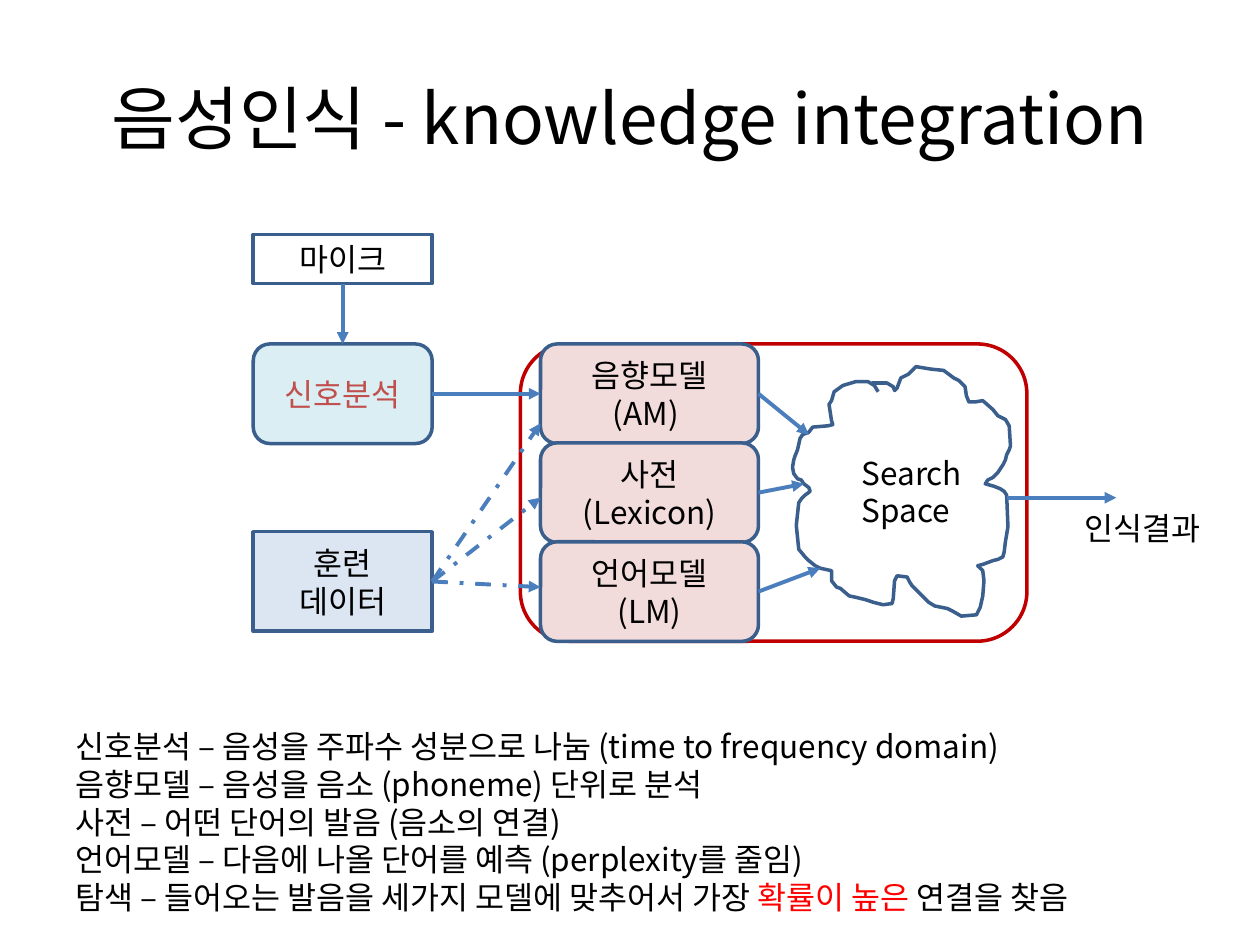
import pptx
import pptx.dml.color
import pptx.enum.dml
import pptx.enum.shapes
import pptx.enum.text
import pptx.oxml
import pptx.oxml.ns
import pptx.util
from dataclasses import dataclass

Inches = pptx.util.Inches
SHAPE = pptx.enum.shapes.MSO_SHAPE
ALIGN = pptx.enum.text.PP_ALIGN
ANCHOR = pptx.enum.text.MSO_ANCHOR
TOP, LEFT, BOTTOM, RIGHT = range(4)


@dataclass(frozen=True)
class Theme:
    font: str = "Noto Sans CJK KR"
    title_size: float = 39.6
    body_size: float = 18
    outline_width: float = 2
    arrow_width: float = 2.25
    text: str = "000000"
    emphasis: str = "FF0000"
    signal_text: str = "C0504D"
    outline: str = "3A5F8C"
    arrow: str = "4B7EBC"
    frame: str = "C00000"
    white: str = "FFFFFF"
    signal: str = "DBEEF4"
    training: str = "DCE6F2"
    model: str = "F2DCDB"


THEME = Theme()

NOTES = [
    ["신호분석 – 음성을 주파수 성분으로 나눔 (time to frequency domain)"],
    ["음향모델 – 음성을 음소 (phoneme) 단위로 분석"],
    ["사전 – 어떤 단어의 발음 (음소의 연결)"],
    ["언어모델 – 다음에 나올 단어를 예측 (perplexity를 줄임)"],
    ["탐색 – 들어오는 발음을 세가지 모델에 맞추어서 가장 ", "확률이 높은 ", "연결을 찾음"],
]

CLOUD = [
    (6.97, 3.11), (6.94, 3.06), (6.89, 3.03), (6.79, 3.03), (6.69, 3.06), (6.62, 3.11),
    (6.6, 3.18), (6.58, 3.21), (6.6, 3.34), (6.61, 3.37), (6.57, 3.38), (6.45, 3.39),
    (6.42, 3.43), (6.37, 3.45), (6.35, 3.48), (6.33, 3.57), (6.31, 3.62), (6.3, 3.65),
    (6.29, 3.71), (6.3, 3.76), (6.33, 3.8), (6.36, 3.81), (6.38, 3.84), (6.42, 3.87),
    (6.43, 3.9), (6.39, 3.93), (6.36, 3.96), (6.34, 3.99), (6.32, 4.17), (6.34, 4.36),
    (6.39, 4.42), (6.42, 4.45), (6.47, 4.49), (6.51, 4.51), (6.6, 4.53), (6.6, 4.61),
    (6.64, 4.66), (6.67, 4.67), (6.74, 4.73), (6.79, 4.74), (6.87, 4.76), (6.93, 4.78),
    (7.01, 4.8), (7.08, 4.79), (7.09, 4.75), (7.1, 4.61), (7.12, 4.57), (7.2, 4.58),
    (7.22, 4.62), (7.24, 4.65), (7.26, 4.67), (7.33, 4.74), (7.37, 4.78), (7.42, 4.81),
    (7.52, 4.83), (7.56, 4.85), (7.63, 4.89), (7.75, 4.88), (7.78, 4.82), (7.8, 4.73),
    (7.81, 4.61), (7.8, 4.53), (7.76, 4.49), (7.8, 4.48), (7.88, 4.45), (7.92, 4.44),
    (7.96, 4.42), (7.97, 4.38), (7.98, 4.3), (8, 4.18), (7.99, 3.93), (7.97, 3.9),
    (7.94, 3.88), (7.89, 3.86), (7.82, 3.84), (7.84, 3.81), (7.88, 3.79), (7.92, 3.75),
    (7.96, 3.69), (7.98, 3.65), (7.99, 3.61), (8.01, 3.57), (8.02, 3.54), (8.01, 3.38),
    (7.98, 3.33), (7.92, 3.3), (7.88, 3.25), (7.8, 3.18), (7.74, 3.19), (7.69, 3.19),
    (7.67, 3.14), (7.66, 3.07), (7.63, 3.04), (7.61, 3.02), (7.57, 3), (7.49, 2.94),
    (7.39, 2.93), (7.27, 2.91), (7.21, 2.97), (7.15, 3), (7.12, 3.08), (7.1, 3.1),
    (7.09, 3.07), (7.04, 3.04), (6.92, 3.04),
]


def rgb(value):
    return pptx.dml.color.RGBColor.from_string(value)


def format_run(r, color=THEME.text, size=THEME.body_size):
    """Set the run's font for both Latin and Korean letters."""
    r.font.size = pptx.util.Pt(size)
    r.font.name = THEME.font
    r.font.color.rgb = rgb(color)
    ea = pptx.oxml.parse_xml(f'<a:ea {pptx.oxml.ns.nsdecls("a")} typeface="{THEME.font}"/>')
    r.font._element.find(pptx.oxml.ns.qn("a:latin")).addnext(ea)


def write(tf, text, color=THEME.text, size=THEME.body_size, align=ALIGN.LEFT):
    tf.word_wrap = True
    tf.text = text
    for p in tf.paragraphs:
        p.alignment = align
        for r in p.runs:
            format_run(r, color, size)


def outline(sp, color=THEME.outline):
    sp.shadow.inherit = False
    sp.line.color.rgb = rgb(color)
    sp.line.width = pptx.util.Pt(THEME.outline_width)


def add_box(slide, kind, at, fill, text="", color=THEME.text, line=THEME.outline):
    sp = slide.shapes.add_shape(kind, *map(Inches, at))
    sp.fill.solid()
    sp.fill.fore_color.rgb = rgb(fill)
    outline(sp, line)
    if text:
        write(sp.text_frame, text, color, align=ALIGN.CENTER)
        sp.text_frame.vertical_anchor = ANCHOR.MIDDLE
    return sp


def add_text(slide, at, text, **style):
    sp = slide.shapes.add_textbox(*map(Inches, at))
    write(sp.text_frame, text, **style)
    return sp


def add_arrow(slide, start, end, dashed=False):
    """Draw an arrow; each end is a point or a (shape, side) pair."""
    joins = [isinstance(e[0], (int, float)) is False for e in (start, end)]
    points = [(0, 0) if joined else e for joined, e in zip(joins, (start, end))]
    line = slide.shapes.add_connector(
        pptx.enum.shapes.MSO_CONNECTOR.STRAIGHT,
        *(Inches(v) for point in points for v in point))
    if joins[0]:
        line.begin_connect(*start)
    if joins[1]:
        line.end_connect(*end)
    line.line.color.rgb = rgb(THEME.arrow)
    line.line.width = pptx.util.Pt(THEME.arrow_width)
    if dashed:
        line.line.dash_style = pptx.enum.dml.MSO_LINE.DASH_DOT
    ns = pptx.oxml.ns.nsdecls("a")
    line.line._get_or_add_ln().append(pptx.oxml.parse_xml(f'<a:tailEnd {ns} type="triangle"/>'))
    line._element.spPr.append(pptx.oxml.parse_xml(f"<a:effectLst {ns}/>"))


def add_cloud(slide):
    points = [(Inches(x), Inches(y)) for x, y in CLOUD]
    builder = slide.shapes.build_freeform(*points[0])
    builder.add_line_segments(points[1:], close=False)
    sp = builder.convert_to_shape()
    sp.fill.background()
    outline(sp)


def add_notes(slide):
    sp = add_text(slide, (0.5, 5.72, 9.14, 1.62), "\n".join(parts[0] for parts in NOTES))
    p = sp.text_frame.paragraphs[-1]
    for text, color in zip(NOTES[-1][1:], (THEME.emphasis, THEME.text)):
        r = p.add_run()
        r.text = text
        format_run(r, color)


def main():
    prs = pptx.Presentation()
    prs.slide_width, prs.slide_height = Inches(10), Inches(7.5)
    slide = prs.slides.add_slide(prs.slide_layouts[6])

    title = add_text(slide, (0.5, 0.3, 9, 1.25), "음성인식 - knowledge integration",
                     size=THEME.title_size, align=ALIGN.CENTER)
    title.text_frame.vertical_anchor = ANCHOR.MIDDLE

    signal = add_box(slide, SHAPE.ROUNDED_RECTANGLE, (2.01, 2.73, 1.42, 0.79),
                     THEME.signal, "신호분석", THEME.signal_text)
    training = add_box(slide, SHAPE.RECTANGLE, (2.01, 4.22, 1.42, 0.79),
                       THEME.training, "훈련\n데이터")
    add_box(slide, SHAPE.ROUNDED_RECTANGLE, (4.13, 2.73, 4.02, 2.36),
            THEME.white, line=THEME.frame)
    models = [
        add_box(slide, SHAPE.ROUNDED_RECTANGLE, (4.29, 2.73 + 0.785 * i, 1.73, 0.79),
                THEME.model, text)
        for i, text in enumerate(("음향모델\v(AM) ", "사전\v(Lexicon)", "언어모델\v(LM)"))
    ]
    mic = add_box(slide, SHAPE.RECTANGLE, (2.01, 1.86, 1.42, 0.39), THEME.white, "마이크")

    add_arrow(slide, (mic, BOTTOM), (signal, TOP))
    add_arrow(slide, (signal, RIGHT), (models[0], LEFT))
    for y in (3.36, 3.95, 4.66):
        add_arrow(slide, (training, RIGHT), (4.29, y), dashed=True)

    add_cloud(slide)
    for model, end in zip(models, ((6.42, 3.45), (6.38, 3.84), (6.51, 4.51))):
        add_arrow(slide, (model, RIGHT), end)
    add_text(slide, (6.74, 3.55, 1.05, 0.71), "Search\nSpace")
    add_arrow(slide, (7.99, 3.95), (8.86, 3.95))
    add_text(slide, (8.51, 3.99, 1.21, 0.4), "인식결과")
    add_notes(slide)

    prs.save("out.pptx")


if __name__ == "__main__":
    main()
